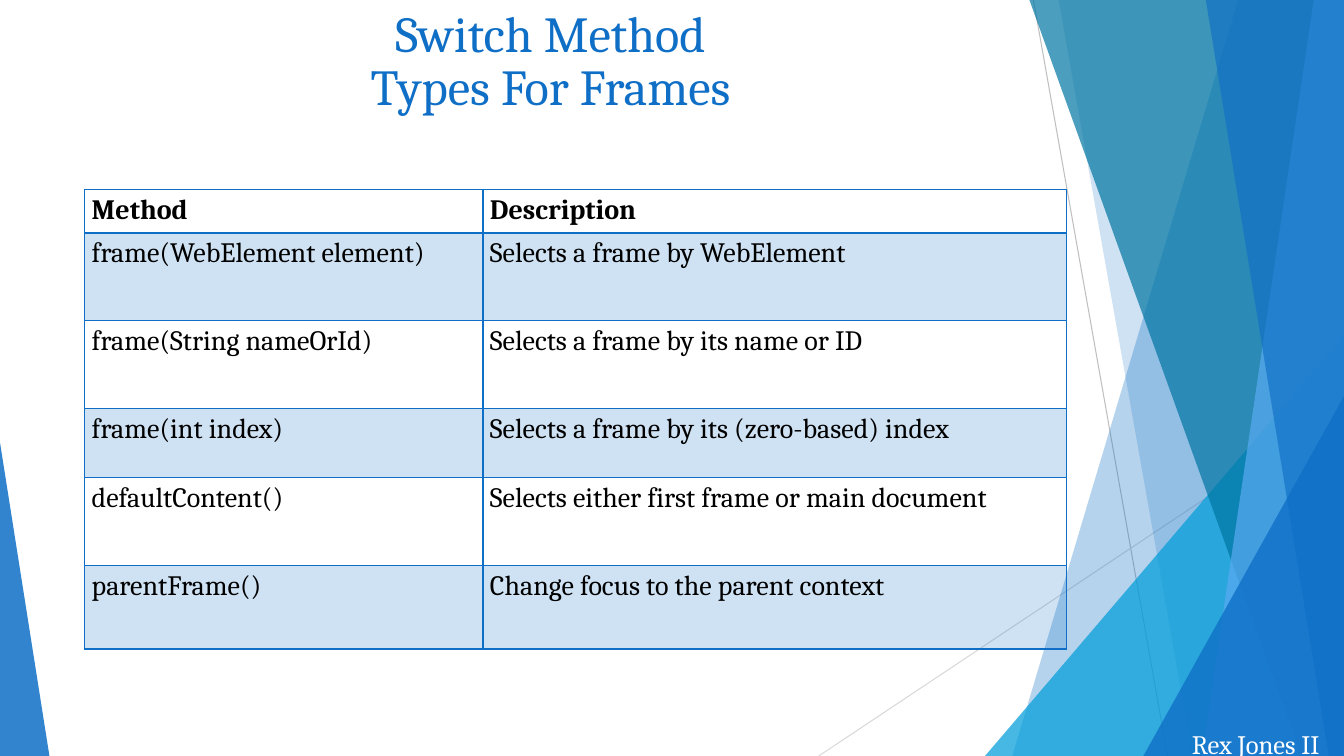
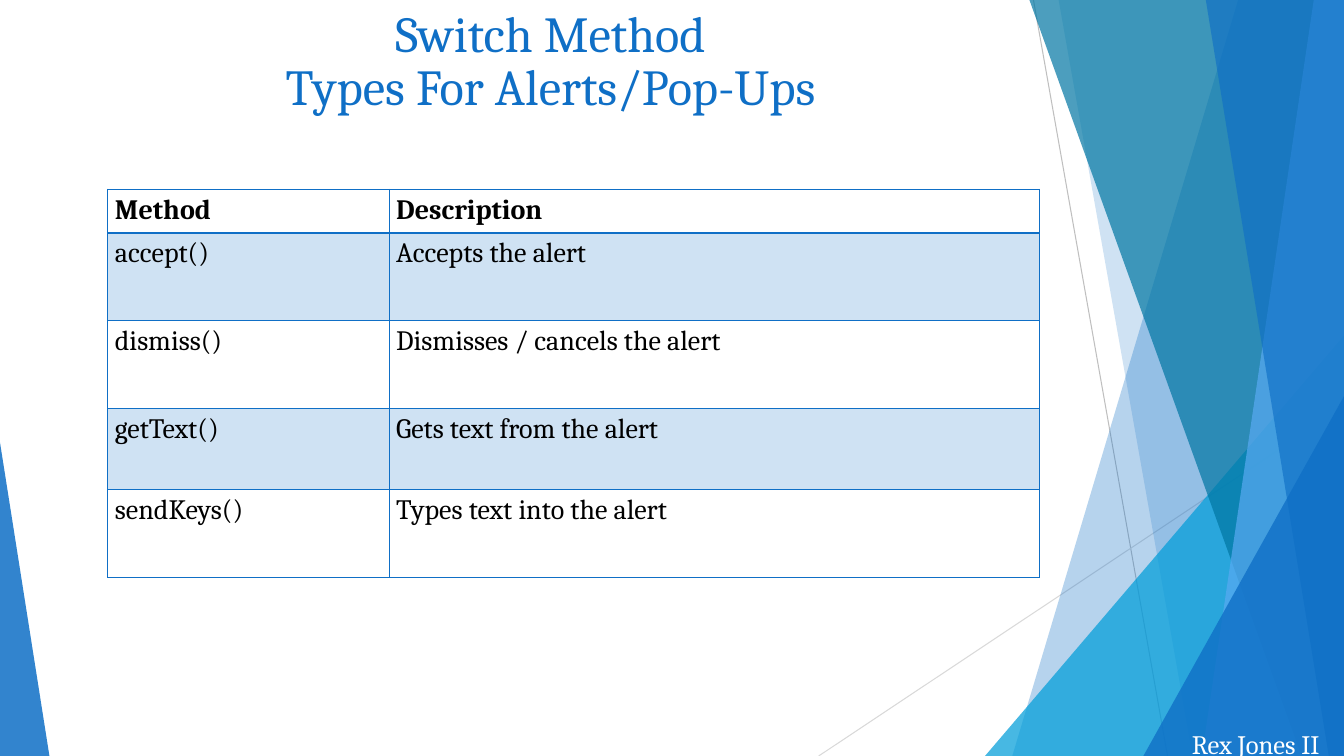
from lxml.etree import SubElement
from pptx import Presentation
from pptx.dml.color import RGBColor
from pptx.enum.shapes import MSO_CONNECTOR as Link, MSO_SHAPE as Shape
from pptx.enum.text import MSO_ANCHOR as Anchor, PP_ALIGN as Align
from pptx.oxml.ns import qn
from pptx.util import Inches, Pt

WIDE, HIGH = 13.33, 7.5
FONT = "Cambria"
BLUE = RGBColor(0x0F, 0x6F, 0xC6)
CYAN = RGBColor(0x00, 0x9D, 0xD9)
TEAL = RGBColor(0x00, 0x76, 0xA3)
SKY = RGBColor(0x59, 0xAA, 0xF2)
GRAY = RGBColor(0xBF, 0xBF, 0xBF)
PALE = RGBColor(0xD9, 0xD9, 0xD9)
BLACK = RGBColor(0, 0, 0)
WHITE = RGBColor(0xFF, 0xFF, 0xFF)

FRAMES = [
    ("Method", "Description"),
    ("frame(WebElement element)", "Selects a frame by WebElement"),
    ("frame(String nameOrId)", "Selects a frame by its name or ID"),
    ("frame(int index)", "Selects a frame by its (zero-based) index"),
    ("defaultContent()", "Selects either first frame or main document"),
    ("parentFrame()", "Change focus to the parent context"),
]
ALERTS = [
    ("Method", "Description"),
    ("accept()", "Accepts the alert"),
    ("dismiss()", "Dismisses / cancels the alert"),
    ("getText()", "Gets text from the alert"),
    ("sendKeys()", "Types text into the alert"),
]


def style(para, size, color, bold=False):
    font = para.font
    font.name, font.size, font.bold = FONT, Pt(size), bold
    font.color.rgb = color


def tint(fill, color, alpha):
    """Solid fill with an opacity in percent."""
    fill.solid()
    fill.fore_color.rgb = color
    tone = fill._xPr.find(qn("a:solidFill"))[0]
    SubElement(tone, qn("a:alpha"), val=str(alpha * 1000))


def paint(shape, color, alpha):
    shape.shadow.inherit = False
    shape.line.fill.background()
    tint(shape.fill, color, alpha)


# Background art
def ray(slide, start, end, color):
    line = slide.shapes.add_connector(
        Link.STRAIGHT, *[Inches(v) for v in start + end])
    line.line.color.rgb = color
    line.line.width = Pt(0.75)
    SubElement(line._element.spPr, qn("a:effectLst"))


def band(slide, top, base, color, alpha):
    """Band from a slanted left edge to the right side of the slide."""
    points = [(top, 0), (WIDE, 0), (WIDE, HIGH), (base, HIGH)]
    spots = [(Inches(x), Inches(y)) for x, y in points]
    path = slide.shapes.build_freeform(*spots[0])
    path.add_line_segments(spots[1:], close=True)
    paint(path.convert_to_shape(), color, alpha)


def wedge(slide, left, top, width, peak, color, alpha):
    """Triangle standing on the lower edge of the slide."""
    shape = slide.shapes.add_shape(
        Shape.ISOSCELES_TRIANGLE, Inches(left), Inches(top),
        Inches(width), Inches(HIGH - top))
    shape.adjustments[0] = peak
    paint(shape, color, alpha)


def scene(slide):
    ray(slide, (10.25, 0), (11.58, HIGH), GRAY)
    ray(slide, (WIDE, 4.03), (8.12, HIGH), PALE)
    band(slide, 12.28, 10.04, BLUE, 30)
    band(slide, 10.5, 11.83, BLUE, 20)
    wedge(slide, 9.77, 3.33, 3.56, 1, CYAN, 72)
    band(slide, 10.21, 12.91, TEAL, 70)
    band(slide, 13.03, 11.92, SKY, 70)
    band(slide, 11.96, 13.18, BLUE, 65)
    wedge(slide, 11.34, 3.93, 1.99, 1, BLUE, 80)
    wedge(slide, 0, 4.39, 0.49, 0, BLUE, 85)


# Title and footer
def label(slide, box, text, size, color, wrap=True):
    frame = slide.shapes.add_textbox(*[Inches(v) for v in box]).text_frame
    frame.word_wrap = wrap
    frame.vertical_anchor = Anchor.TOP
    frame.text = text
    para = frame.paragraphs[0]
    para.alignment = Align.CENTER
    style(para, size, color)
    return frame


def title(slide, topic):
    frame = label(slide, (1.07, 0, 8.78, 1.17),
                  f"Switch Method\v{topic}", 36, BLUE)
    frame.margin_top = Inches(0.1)
    frame.paragraphs[0].line_spacing = 0.88


def footer(slide):
    label(slide, (11.62, 7.17, 1.67, 0.42), "Rex Jones II", 19, WHITE, False)


# Method table
def edge(cell, side, width):
    line = SubElement(cell._tc.get_or_add_tcPr(), qn(f"a:ln{side}"),
                      w=str(Pt(width)))
    fill = SubElement(line, qn("a:solidFill"))
    SubElement(fill, qn("a:srgbClr"), val=str(BLUE))


def entry(cell, text, row):
    cell.margin_left = cell.margin_right = Inches(0.07)
    cell.margin_top = cell.margin_bottom = 0
    cell.vertical_anchor = Anchor.TOP
    cell.text = text
    para = cell.text_frame.paragraphs[0]
    para.line_spacing = 1.15
    para.space_after = Pt(10)
    style(para, 20, BLACK, row == 0)
    for side in "LRTB":
        thick = (row, side) in [(0, "B"), (1, "T")]
        edge(cell, side, 2 if thick else 1)
    if row % 2:
        tint(cell.fill, BLUE, 20)
    else:
        cell.fill.background()


def grid(slide, left, top, cols, rows, data):
    box = left, top, sum(cols), sum(rows)
    table = slide.shapes.add_table(
        len(rows), len(cols), *[Inches(v) for v in box]).table
    table.first_row = table.horz_banding = False
    for col, width in zip(table.columns, cols):
        col.width = Inches(width)
    for row, height in zip(table.rows, rows):
        row.height = Inches(height)
    for i, texts in enumerate(data):
        for j, text in enumerate(texts):
            entry(table.cell(i, j), text, i)


def page(deck, topic, left, cols, rows, data):
    slide = deck.slides.add_slide(deck.slide_layouts[6])
    scene(slide)
    footer(slide)
    title(slide, topic)
    grid(slide, left, 1.88, cols, rows, data)


def main():
    deck = Presentation()
    deck.slide_width, deck.slide_height = Inches(WIDE), Inches(HIGH)
    page(deck, "Types For Frames", 0.84, (3.95, 5.79),
         (0.43, 0.87, 0.87, 0.69, 0.87, 0.83), FRAMES)
    page(deck, "Types For Alerts/Pop-Ups", 1.07, (2.79, 6.45),
         (0.43, 0.87, 0.87, 0.81, 0.87), ALERTS)
    deck.save("out.pptx")


if __name__ == "__main__":
    main()
